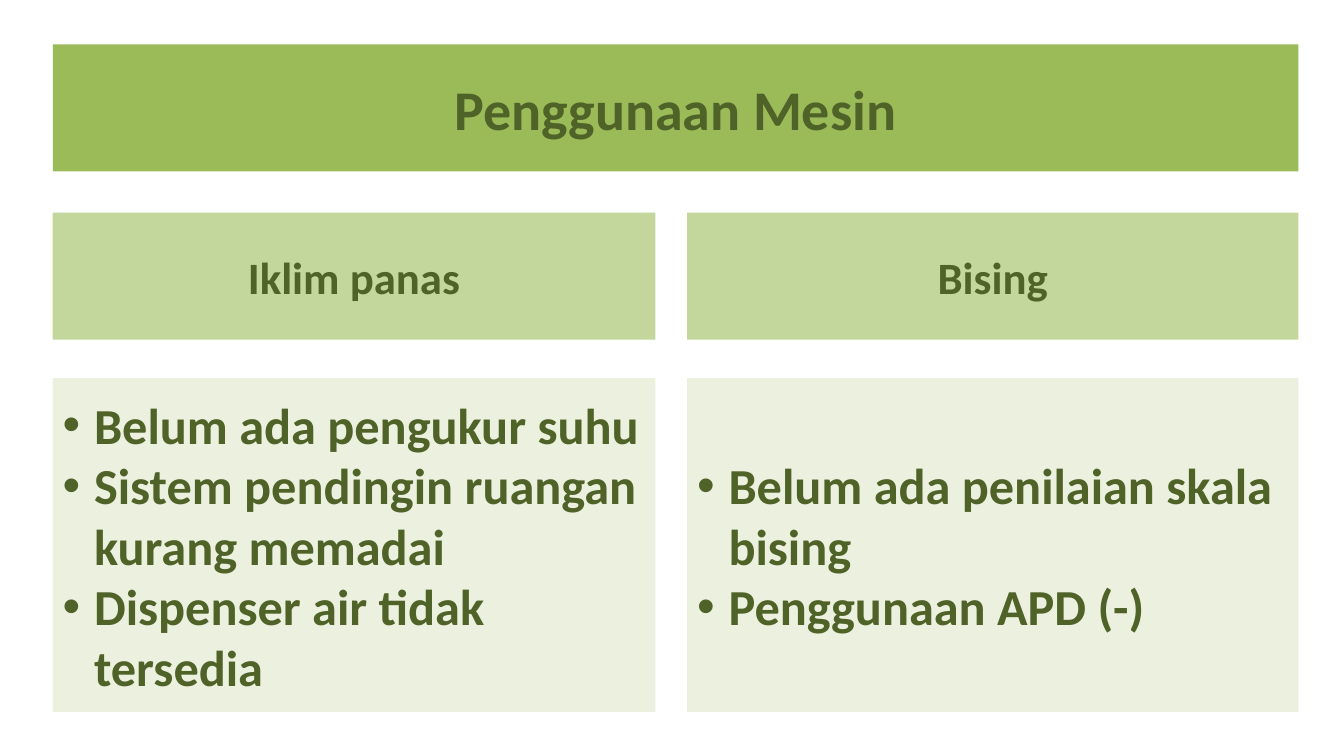
from lxml.etree import SubElement
from pptx import Presentation
from pptx.dml.color import RGBColor
from pptx.enum.shapes import MSO_SHAPE
from pptx.enum.text import MSO_ANCHOR, MSO_AUTO_SIZE, PP_ALIGN
from pptx.oxml.ns import qn
from pptx.util import Cm, Pt

TEXT_GREEN = "4F6228"
TITLE_GREEN = "9BBB59"
HEADING_GREEN = "C3D69B"
FINDINGS_GREEN = "EBF1DE"

# Rows as (top, height) and columns as (left, width), in centimetres
TITLE_ROW = (1.12, 3.2)
HEADING_ROW = (5.36, 3.2)
FINDINGS_ROW = (9.53, 8.41)
FULL_WIDTH = (1.33, 31.39)
COLUMNS = [(1.33, 15.19), (17.32, 15.4)]
BULLET_INDENT = Cm(0.79)

HAZARDS = [
    ("Iklim panas", [
        "Belum ada pengukur suhu",
        "Sistem pendingin ruangan kurang memadai",
        "Dispenser air tidak tersedia",
    ]),
    ("Bising", [
        "Belum ada penilaian skala bising",
        "Penggunaan APD (-)",
    ]),
]


def paint(target, hex_color):
    target.solid()
    target.fore_color.rgb = RGBColor.from_string(hex_color)


def fill_panel(panel, lines, size, color, align=PP_ALIGN.CENTER):
    """Colour a panel and write its lines in bold green."""
    paint(panel.fill, color)
    panel.line.fill.background()
    frame = panel.text_frame
    frame.word_wrap = True
    frame.auto_size = MSO_AUTO_SIZE.NONE
    frame.vertical_anchor = MSO_ANCHOR.MIDDLE
    frame.text = "\n".join(lines)
    for paragraph in frame.paragraphs:
        paragraph.alignment = align
        for run in paragraph.runs:
            run.font.name = "Calibri"
            run.font.size = Pt(size)
            run.font.bold = True
            paint(run.font.fill, TEXT_GREEN)


def add_title(slide, text):
    title = slide.shapes.title
    title.left, title.width = map(Cm, FULL_WIDTH)
    title.top, title.height = map(Cm, TITLE_ROW)
    fill_panel(title, [text], 40, TITLE_GREEN)


def add_panel(slide, column, row, *style):
    (left, width), (top, height) = column, row
    panel = slide.shapes.add_shape(
        MSO_SHAPE.RECTANGLE, Cm(left), Cm(top), Cm(width), Cm(height))
    panel.shadow.inherit = False
    fill_panel(panel, *style)
    return panel


def add_bullets(panel):
    for paragraph in panel.text_frame.paragraphs:
        properties = paragraph._p.get_or_add_pPr()
        properties.set("marL", str(BULLET_INDENT))
        properties.set("indent", str(-BULLET_INDENT))
        SubElement(properties, qn("a:buFont"), typeface="Arial")
        SubElement(properties, qn("a:buChar"), char="•")


def main():
    deck = Presentation()
    deck.slide_width, deck.slide_height = Cm(33.87), Cm(19.05)
    slide = deck.slides.add_slide(deck.slide_layouts.get_by_name("Title Only"))

    add_title(slide, "Penggunaan Mesin")

    # One column per hazard: heading above its findings
    for column, (heading, findings) in zip(COLUMNS, HAZARDS):
        add_panel(slide, column, HEADING_ROW, [heading], 32, HEADING_GREEN)
        findings_panel = add_panel(slide, column, FINDINGS_ROW, findings, 36,
                                   FINDINGS_GREEN, PP_ALIGN.LEFT)
        add_bullets(findings_panel)

    deck.save("out.pptx")


if __name__ == "__main__":
    main()
